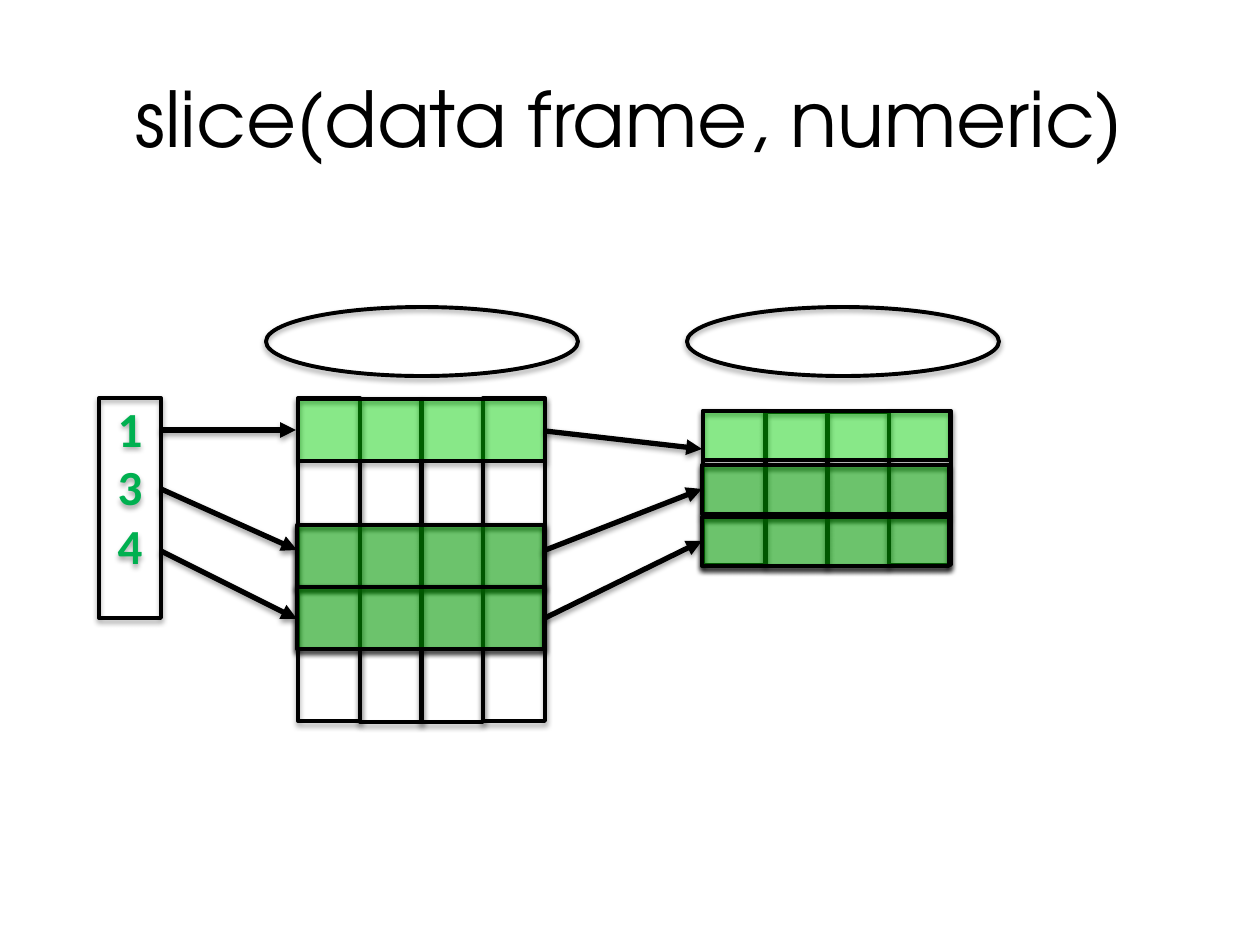
from lxml import etree
from pptx import Presentation
from pptx.dml.color import RGBColor
from pptx.enum.shapes import MSO_CONNECTOR, MSO_SHAPE
from pptx.enum.text import MSO_ANCHOR, PP_ALIGN
from pptx.oxml.ns import qn
from pptx.util import Emu, Pt

RECTANGLE = MSO_SHAPE.RECTANGLE
OVAL = MSO_SHAPE.OVAL
STRAIGHT = MSO_CONNECTOR.STRAIGHT
CENTER = PP_ALIGN.CENTER
TOP = MSO_ANCHOR.TOP
MIDDLE = MSO_ANCHOR.MIDDLE
SCALE = 914400 / 126
BLACK = "000000"
GREEN = "00FA00"
INDEX_GREEN = "00B050"


def px(*lengths):
    """Turn pixel lengths into EMU."""
    return [Emu(round(length * SCALE)) for length in lengths]


def color(code):
    """Turn a hex string into a colour."""
    return RGBColor.from_string(code)


def add_shadow(shape, opacity):
    """Give a shape or connector a soft shadow below it."""
    properties = shape.element.spPr
    effects = etree.SubElement(properties, qn("a:effectLst"))
    shadow = etree.SubElement(effects, qn("a:outerShdw"), blurRad="40000",
                              dist="23000", dir="5400000", rotWithShape="0")
    tone = etree.SubElement(shadow, qn("a:srgbClr"), val=BLACK)
    etree.SubElement(tone, qn("a:alpha"), val=str(opacity * 1000))


def set_line(shape, width):
    """Draw a black line of the given width in points."""
    shape.line.color.rgb = color(BLACK)
    shape.line.width = Pt(width)


def add_outline(page, kind, place, fill_opacity=0, shadow_opacity=35):
    """Add an outlined shape, clear or tinted green."""
    shape = page.shapes.add_shape(kind, *px(*place))
    if fill_opacity:
        shape.fill.solid()
        shape.fill.fore_color.rgb = color(GREEN)
        tone = shape.element.spPr.find(".//" + qn("a:srgbClr"))
        etree.SubElement(tone, qn("a:alpha"), val=str(fill_opacity * 1000))
    else:
        shape.fill.background()
    set_line(shape, 2.25)
    add_shadow(shape, shadow_opacity)
    return shape


def add_arrow(page, start, end):
    """Add an arrow between two points."""
    arrow = page.shapes.add_connector(STRAIGHT, *px(*start, *end))
    set_line(arrow, 3)
    line = arrow.element.spPr.find(qn("a:ln"))
    etree.SubElement(line, qn("a:tailEnd"), type="triangle")
    add_shadow(arrow, 38)


def write(box, lines, size, font, code, bold=False, anchor=MIDDLE):
    """Write centred paragraphs into a box."""
    frame = box.text_frame
    frame.word_wrap = True
    frame.vertical_anchor = anchor
    for number, text in enumerate(lines):
        para = frame.add_paragraph() if number else frame.paragraphs[0]
        para.alignment = CENTER
        span = para.add_run()
        span.text = text
        span.font.size = Pt(size)
        span.font.name = font
        span.font.bold = bold
        span.font.color.rgb = color(code)


def add_frame(page, lefts, top, height, row_height, rows):
    """Add a data frame: four columns with tinted rows over them."""
    for number in (1, 2, 0, 3):
        drop = 1 if number in (1, 2) else 0
        add_outline(page, RECTANGLE, (lefts[number], top + drop, 62, height))
    for number, (left, row_top) in enumerate(rows):
        tint, shade = (35, 100) if number else (38, 35)
        add_outline(page, RECTANGLE, (left, row_top, 247, row_height),
                    tint, shade)


def main():
    """Build the slide and save it."""
    deck = Presentation()
    deck.slide_width, deck.slide_height = px(1260, 945)
    page = deck.slides.add_slide(deck.slide_layouts[6])

    title = page.shapes.add_textbox(*px(63, 38, 1134, 158))
    write(title, ["slice(data frame, numeric)"], 44, "TeX Gyre Adventor", BLACK)

    for left in (266, 687):
        add_outline(page, OVAL, (left, 307, 312, 69))

    index = add_outline(page, RECTANGLE, (99, 398, 62, 220))
    write(index, ["1", "3", "4"], 28, "Calibri", INDEX_GREEN, True, TOP)
    index.text_frame.margin_top = 0

    add_frame(page, (298, 360, 421, 483), 398, 323, 62,
              [(298, 399), (297, 525), (297, 587)])
    add_frame(page, (703, 766, 827, 889), 411, 154, 49,
              [(703, 411), (702, 465), (702, 517)])

    arrows = [
        ((161, 430), (296, 430)),
        ((161, 489), (297, 550)),
        ((161, 551), (297, 619)),
        ((545, 431), (702, 449)),
        ((543, 551), (702, 489)),
        ((545, 618), (702, 541)),
    ]
    for start, end in arrows:
        add_arrow(page, start, end)

    deck.save("out.pptx")


main()
